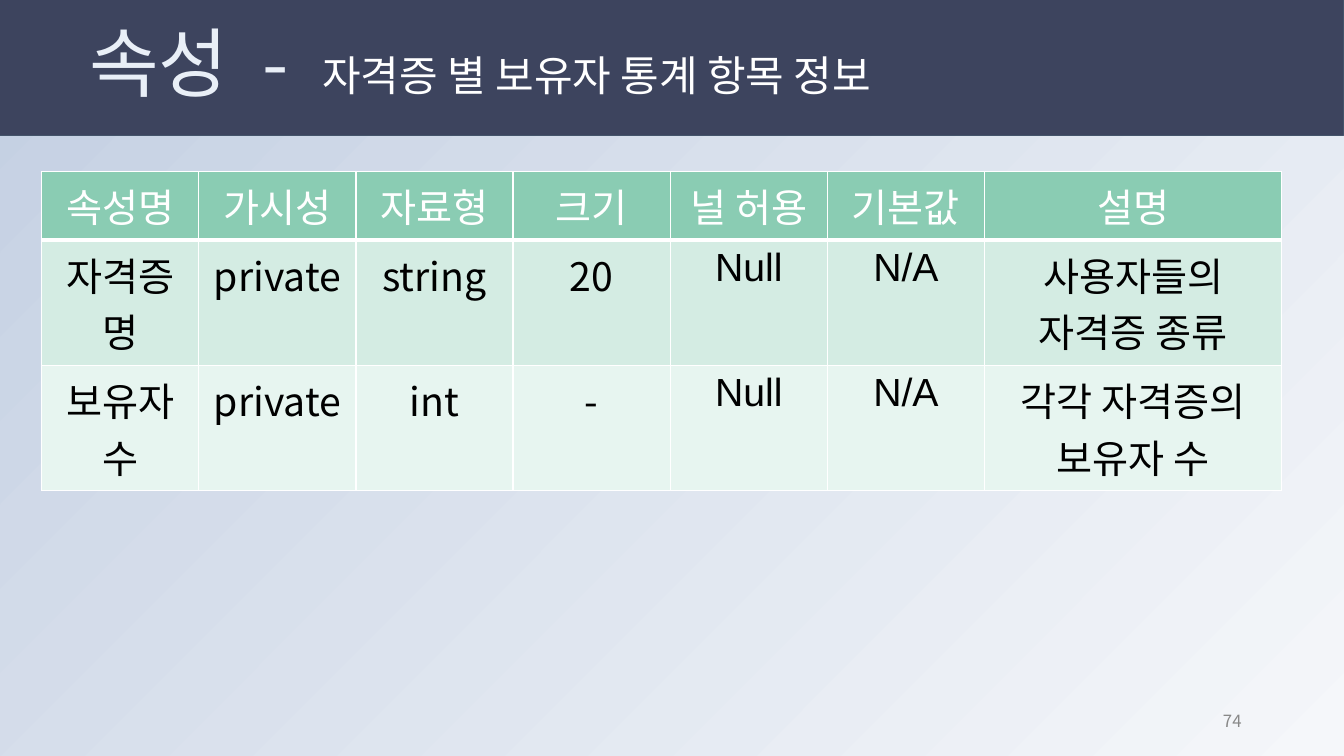
import pptx
import pptx.util
import pptx.dml.color
import pptx.enum.shapes
import pptx.enum.text
import pptx.oxml
import pptx.oxml.ns
from lxml import etree

Cm = pptx.util.Cm
Pt = pptx.util.Pt
ALIGN = pptx.enum.text.PP_ALIGN
MIDDLE = pptx.enum.text.MSO_ANCHOR.MIDDLE
KOREAN = "Noto Sans CJK KR"
COLORS = {
    "light": "F5F7FA", "haze": "C3CFE2", "band": "3D445E", "edge": "44546A",
    "title": "E9EFF7", "white": "FFFFFF", "black": "000000", "gray": "888888",
    "head": "8ACCB3", "odd": "D4ECE3", "even": "E7F5F0",
}


class Deck:
    def __init__(self):
        self.file = pptx.Presentation()
        self.file.slide_width = Cm(33.87)
        self.file.slide_height = Cm(19.05)
        self.slide = self.file.slides.add_slide(self.file.slide_layouts[5])
        self.shapes = self.slide.shapes

    def color(self, name):
        return pptx.dml.color.RGBColor.from_string(COLORS[name])

    def style(self, run, size, color, font=KOREAN):
        run.font.size = Pt(size)
        run.font.bold = False
        run.font.name = font
        run.font.color.rgb = self.color(color)
        props = run.font._element
        etree.SubElement(props, pptx.oxml.ns.qn("a:ea")).set("typeface", font)

    def back(self, start, end, angle):
        fill = self.slide.background.fill
        fill.gradient()
        fill.gradient_angle = angle
        for stop, name, place in zip(fill.gradient_stops, (start, end), (0, 1)):
            stop.color.rgb = self.color(name)
            stop.position = place

    def band(self, box):
        kind = pptx.enum.shapes.MSO_SHAPE.RECTANGLE
        band = self.shapes.add_shape(kind, *map(Cm, box))
        band.shadow.inherit = False
        band.fill.solid()
        band.fill.fore_color.rgb = self.color("band")
        band.line.color.rgb = self.color("edge")
        band.line.width = Pt(0.75)
        self.shapes.title.element.addprevious(band.element)

    def title(self, box, parts):
        title = self.shapes.title
        title.left, title.top, title.width, title.height = map(Cm, box)
        frame = title.text_frame
        frame.auto_size = pptx.enum.text.MSO_AUTO_SIZE.NONE
        frame.vertical_anchor = MIDDLE
        line = frame.paragraphs[0]
        line.alignment = ALIGN.LEFT
        line.line_spacing = 0.9
        for text, size, color, gap in parts:
            run = line.add_run()
            run.text = text
            self.style(run, size, color)
            if gap:
                run.font._element.set("spc", str(gap * 100))

    def text(self, box, text, size, color):
        frame = self.shapes.add_textbox(*map(Cm, box)).text_frame
        frame.word_wrap = True
        frame.vertical_anchor = MIDDLE
        frame.text = text
        line = frame.paragraphs[0]
        line.alignment = ALIGN.RIGHT
        self.style(line.runs[0], size, color)

    def border(self, cell, side, width):
        props = cell._tc.get_or_add_tcPr()
        edge = etree.SubElement(props, pptx.oxml.ns.qn("a:ln" + side))
        edge.set("w", str(Pt(width)))
        fill = etree.SubElement(edge, pptx.oxml.ns.qn("a:solidFill"))
        tint = etree.SubElement(fill, pptx.oxml.ns.qn("a:srgbClr"))
        tint.set("val", COLORS["white"])

    def cell(self, cell, text, row, font):
        for side in "LRTB":
            thick = (row, side) in ((0, "B"), (1, "T"))
            self.border(cell, side, 3 if thick else 1)
        cell.fill.solid()
        cell.fill.fore_color.rgb = self.color(("head", "odd", "even")[row])
        cell.margin_left = cell.margin_right = Cm(0.3)
        cell.margin_top = cell.margin_bottom = Cm(0.15)
        cell.text = text
        line = cell.text_frame.paragraphs[0]
        line.alignment = ALIGN.CENTER
        self.style(line.runs[0], 28, "black" if row else "white", font)

    def table(self, left, top, widths, height, rows):
        box = (left, top, sum(widths), height * len(rows))
        table = self.shapes.add_table(len(rows), len(widths), *map(Cm, box)).table
        for col, width in zip(table.columns, widths):
            col.width = Cm(width)
        for r, row in enumerate(rows):
            table.rows[r].height = Cm(height)
            for c, text in enumerate(row):
                font = "Arial" if text in ("Null", "N/A") else KOREAN
                self.cell(table.cell(r, c), text, r, font)


def main():
    deck = Deck()
    deck.back("light", "haze", 135)
    deck.band((0, -0.02, 33.87, 3.43))
    deck.title((2, -0.15, 29.21, 3.68), [
        ("속성", 54, "title", 0),
        (" ", 54, "title", 12),
        ("-", 54, "title", 0),
        (" ", 54, "title", 12),
        ("자격증 별 보유자 통계 항목 정보", 30, "white", 0),
    ])
    deck.table(1.05, 4.32, [3.96] * 6 + [7.49], 1.63, [
        ["속성명", "가시성", "자료형", "크기", "널 허용", "기본값", "설명"],
        ["자격증 명", "private", "string", "20", "Null", "N/A",
         "사용자들의 자격증 종류"],
        ["보유자 수", "private", "int", "-", "Null", "N/A",
         "각각 자격증의 보유자 수"],
    ])
    deck.text((23.92, 17.65, 7.62, 1.01), "74", 12, "gray")
    deck.file.save("out.pptx")


if __name__ == "__main__":
    main()
